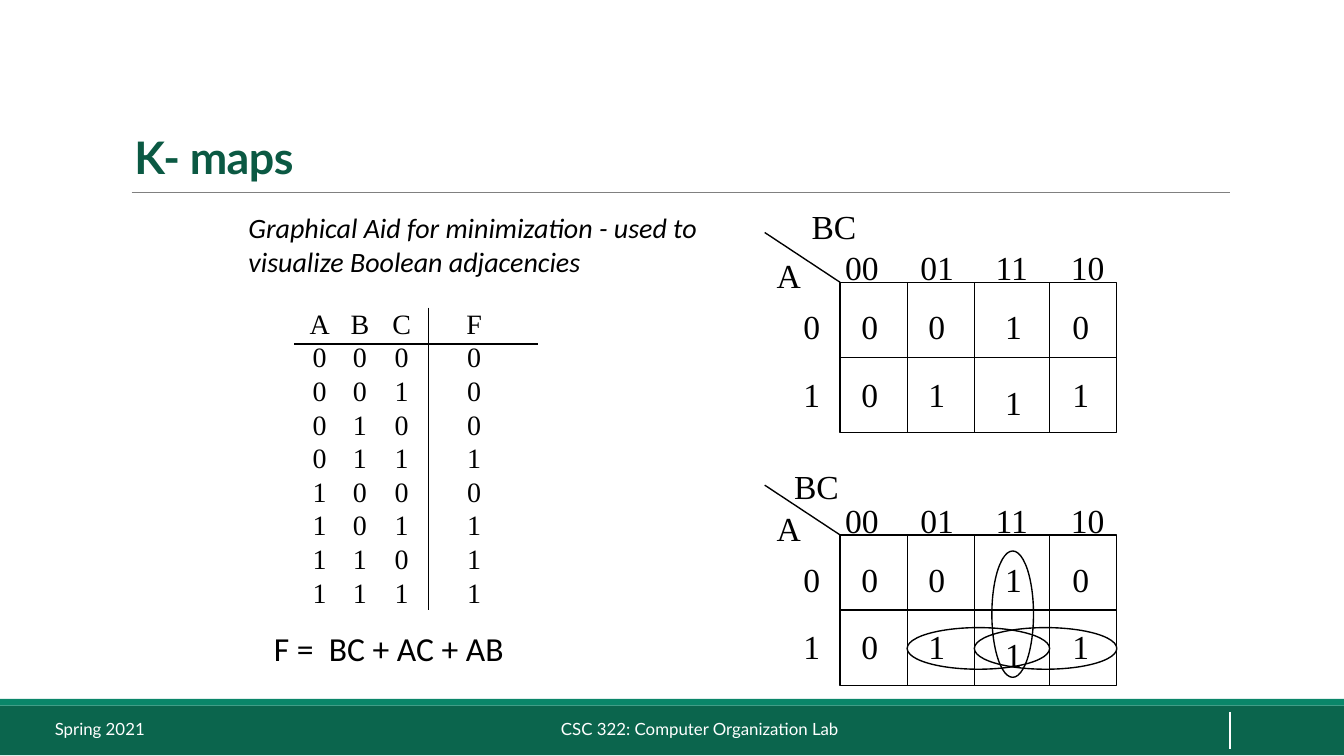
from pptx import Presentation
from pptx.dml.color import RGBColor
from pptx.enum.shapes import MSO_CONNECTOR, MSO_SHAPE
from pptx.enum.text import MSO_ANCHOR, PP_ALIGN
from pptx.oxml.ns import qn
from pptx.util import Inches, Pt
from lxml import etree

BLACK = RGBColor(0x00, 0x00, 0x00)
WHITE = RGBColor(0xFF, 0xFF, 0xFF)
GREY = RGBColor(0x80, 0x80, 0x80)
TITLE_GREEN = RGBColor(0x0B, 0x59, 0x43)
BAND_GREEN = RGBColor(0x0B, 0x65, 0x4D)
STRIPE_GREEN = RGBColor(0x0A, 0x86, 0x69)

SERIF = {"name": "Times New Roman", "size": Pt(18)}
TABLE = {"name": "Times New Roman", "size": Pt(15)}
NOTE = {"name": "Calibri", "size": Pt(15), "italic": True}
FORMULA = {"name": "Calibri", "size": Pt(18)}
FOOTER = {"name": "Lato", "size": Pt(9)}
TITLE = {"name": "Lato", "size": Pt(24), "bold": True}


def format_font(font, fmt, color=BLACK):
    for key, value in fmt.items():
        setattr(font, key, value)
    font.color.rgb = color


def add_text(s, text, x, y, w, h, fmt, color=BLACK, align=PP_ALIGN.LEFT):
    tf = s.shapes.add_textbox(Inches(x), Inches(y), Inches(w), Inches(h)).text_frame
    tf.word_wrap = True
    p = tf.paragraphs[0]
    p.alignment = align
    p.text = text
    for r in p.runs:
        format_font(r.font, fmt, color)
    return p


def add_line(s, x1, y1, x2, y2, color=BLACK, width=0.75):
    line = s.shapes.add_connector(
        MSO_CONNECTOR.STRAIGHT, Inches(x1), Inches(y1), Inches(x2), Inches(y2))
    line.line.color.rgb = color
    line.line.width = Pt(width)
    etree.SubElement(line._element.spPr, qn("a:effectLst"))
    return line


def add_shape(s, kind, x, y, w, h, fill=None):
    sp = s.shapes.add_shape(kind, Inches(x), Inches(y), Inches(w), Inches(h))
    sp.shadow.inherit = False
    if fill is None:
        sp.fill.background()
        sp.line.color.rgb = BLACK
        sp.line.width = Pt(0.75)
    else:
        sp.fill.solid()
        sp.fill.fore_color.rgb = fill
        sp.line.fill.background()
    return sp


def add_footer(s, top):
    add_shape(s, MSO_SHAPE.RECTANGLE, 0, top + 0.05, 10, 0.37, BAND_GREEN)
    add_shape(s, MSO_SHAPE.RECTANGLE, 0, top, 10, 0.05, STRIPE_GREEN)
    add_line(s, 9.15, top + 0.1, 9.15, top + 0.37, WHITE, 1)
    add_text(s, "Spring 2021", 0.31, top + 0.1, 2.03, 0.3, FOOTER, WHITE)
    add_text(s, "CSC 322: Computer Organization Lab", 2.48, top + 0.1, 5.45, 0.38,
             FOOTER, WHITE, PP_ALIGN.CENTER)


def add_title(s, text, x, y, w, h):
    sp = s.shapes.title
    sp.left, sp.top, sp.width, sp.height = (Inches(v) for v in (x, y, w, h))
    tf = sp.text_frame
    tf.vertical_anchor = MSO_ANCHOR.BOTTOM
    p = tf.paragraphs[0]
    p.alignment = PP_ALIGN.LEFT
    p.line_spacing = 0.85
    r = p.add_run()
    r.text = text
    format_font(r.font, TITLE, TITLE_GREEN)
    r.font._element.set("spc", "-30")
    add_line(s, x + 0.08, y + h + 0.01, x + w, y + h + 0.01, GREY, 0.5)


def add_truth_table(s, x, y, w, h):
    rows = ["ABCF"] + [f"{i:03b}{f}" for i, f in enumerate("00010111")]
    text = "\v".join("\t" + "\t".join(row) for row in rows)
    p = add_text(s, text, x, y, w, h, TABLE)
    p.line_spacing = Pt(18)
    tabs = etree.SubElement(p._p.get_or_add_pPr(), qn("a:tabLst"))
    for stop in (0.09, 0.39, 0.7, 1.24):
        etree.SubElement(tabs, qn("a:tab"), pos=str(Inches(stop)), algn="ctr")
    add_line(s, x, y + 0.33, x + 1.81, y + 0.33)
    add_line(s, x + 1, y + 0.06, x + 1, y + 2.31)


def add_k_map(s, x, y, bc_dx, bc_dy):
    w, h = 2.06, 1.12
    grid = add_shape(s, MSO_SHAPE.RECTANGLE, x, y, w, h)
    for dx in (0.5, 1, 1.56):
        add_line(s, x + dx, y, x + dx, y + h)
    divider = add_line(s, x, y + h / 2, x + w, y + h / 2)
    divider.begin_connect(grid, 1)
    divider.end_connect(grid, 3)
    add_line(s, x - 0.56, y - 0.37, x, y)
    add_text(s, "BC", x + bc_dx, y + bc_dy, 0.62, 0.4, SERIF)
    add_text(s, "A", x - 0.57, y - 0.25, 0.38, 0.4, SERIF)
    for i, code in enumerate(("00", "01", "11", "10")):
        add_text(s, code, x - 0.06 + 0.56 * i, y - 0.31, 0.5, 0.4, SERIF)
    for row, values in enumerate(("0010", "0111")):
        top = y + 0.13 + 0.5 * row
        add_text(s, str(row), x - 0.37, top, 0.38, 0.4, SERIF)
        for col, (dx, value) in enumerate(zip((0.06, 0.56, 1.13, 1.63), values)):
            drop = 0.06 if (row, col) == (1, 2) else 0
            add_text(s, value, x + dx, top + drop, 0.38, 0.4, SERIF)


def add_groups(s, x, y):
    for dx, dy, w, h in ((1.13, 0.12, 0.31, 0.94),
                         (0.5, 0.69, 1.06, 0.31),
                         (1, 0.69, 1.06, 0.31)):
        add_shape(s, MSO_SHAPE.OVAL, x + dx, y + dy, w, h)


def main():
    prs = Presentation()
    prs.slide_width = Inches(10)
    prs.slide_height = prs.slide_width * 9 // 16
    s = prs.slides.add_slide(prs.slide_layouts[5])
    add_footer(s, 5.2)
    add_title(s, "K- maps", 0.9, 0.23, 8.25, 1.19)
    add_text(s, "Graphical Aid for minimization - used to visualize Boolean adjacencies",
             1.75, 1.52, 3.62, 0.61, NOTE)
    add_truth_table(s, 2.19, 2.23, 2.06, 2.37)
    add_k_map(s, 6.25, 2.1, -0.31, -0.62)
    add_k_map(s, 6.25, 3.98, -0.44, -0.56)
    add_groups(s, 6.25, 3.98)
    add_text(s, "F =  BC + AC + AB", 1.94, 4.62, 2.25, 0.4, FORMULA)
    prs.save("out.pptx")


if __name__ == "__main__":
    main()
